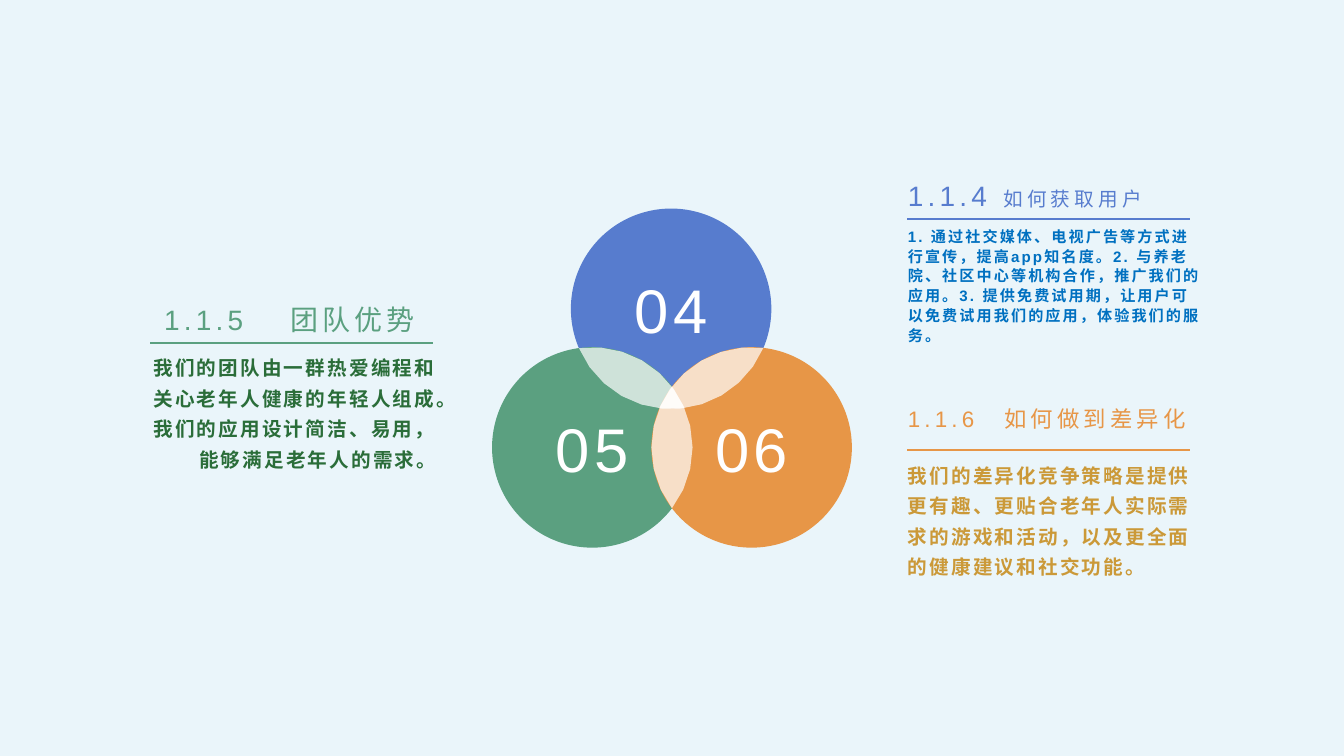
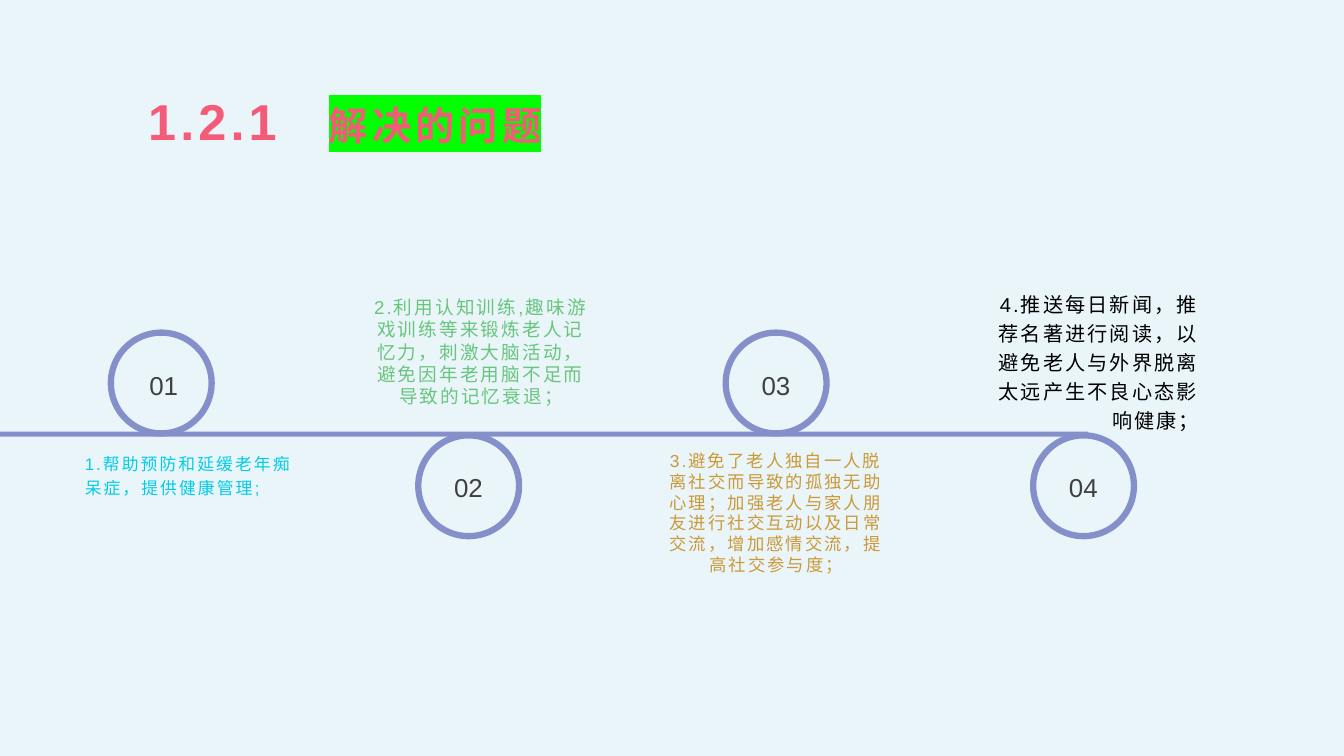
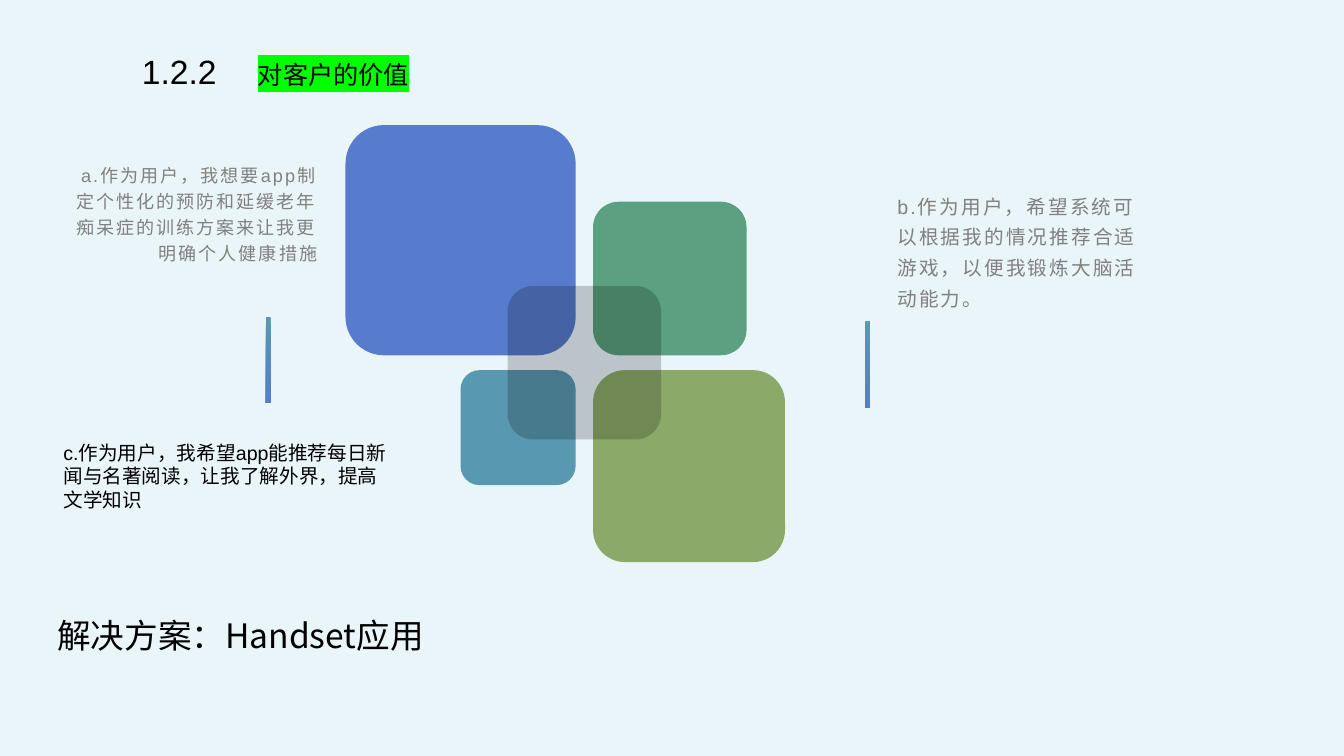
import math
from dataclasses import dataclass
from typing import Optional

from lxml import etree
from pptx import Presentation
from pptx.dml.color import RGBColor
from pptx.enum.shapes import MSO_CONNECTOR, MSO_SHAPE
from pptx.enum.text import MSO_ANCHOR, MSO_AUTO_SIZE, PP_ALIGN
from pptx.oxml.ns import qn
from pptx.util import Pt

OVAL, RECTANGLE, ROUNDED = MSO_SHAPE.OVAL, MSO_SHAPE.RECTANGLE, MSO_SHAPE.ROUNDED_RECTANGLE
LEFT, CENTER, RIGHT = PP_ALIGN.LEFT, PP_ALIGN.CENTER, PP_ALIGN.RIGHT
TOP, MIDDLE = MSO_ANCHOR.TOP, MSO_ANCHOR.MIDDLE
STRAIGHT = MSO_CONNECTOR.STRAIGHT

LATIN, CJK = "Arial", "Noto Sans CJK SC"
TITLE_LAYOUT, BLANK_LAYOUT = 5, 6
COLORS = {
    "background": "EAF5FA", "white": "FFFFFF", "black": "000000",
    "blue": "577CCE", "green": "5BA080", "orange": "E79647",
    "teal": "5999AF", "olive": "8BAA69", "violet": "8590CA",
    "strong blue": "0070C0", "dark green": "2A6D39", "gold": "CB9938",
    "pink": "F35B79", "cyan": "02CCE6", "light green": "69C57E",
    "gray": "808080", "dark gray": "404040", "highlight": "00FF00",
}


@dataclass(frozen=True)
class Piece:
    """A run; unset values come from its paragraph."""
    text: str
    size: Optional[float] = None
    font: Optional[str] = None
    highlight: bool = False


@dataclass(frozen=True)
class Style:
    size: float
    color: str
    font: str = LATIN
    bold: bool = False
    spacing: float = 0
    line_spacing: float = 1.0
    align: PP_ALIGN = LEFT
    anchor: MSO_ANCHOR = TOP
    tab: float = 0


@dataclass(frozen=True)
class Box:
    left: float
    top: float
    width: float
    height: float


@dataclass(frozen=True)
class Caption:
    box: Box
    text: str
    style: Style


@dataclass(frozen=True)
class Circle:
    x: float
    y: float
    color: str
    label: str


@dataclass(frozen=True)
class Panel:
    left: float
    rule_left: float
    rule_top: float
    color: str
    heading: tuple[Piece, ...]
    heading_style: Style
    heading_indent: float
    body: str
    body_style: Style


@dataclass(frozen=True)
class Tile:
    size: float
    column: int
    row: int
    color: str


# Shared helpers
def rgb(name: str) -> RGBColor:
    return RGBColor.from_string(COLORS[name])


def place(box: Box) -> tuple:
    return Pt(box.left), Pt(box.top), Pt(box.width), Pt(box.height)


def set_typeface(font, typeface: str) -> None:
    font.name = typeface
    latin = font._rPr.find(qn("a:latin"))
    east_asian = etree.Element(qn("a:ea"), typeface=CJK)
    latin.addnext(east_asian)


def set_highlight(run) -> None:
    highlight = etree.Element(qn("a:highlight"))
    etree.SubElement(highlight, qn("a:srgbClr"), val=COLORS["highlight"])
    properties = run.font._rPr
    latin = properties.find(qn("a:latin"))
    if latin is None:
        properties.append(highlight)
    else:
        latin.addprevious(highlight)


def write_text(shape, pieces: tuple[Piece, ...], style: Style, inset: bool = True) -> None:
    frame = shape.text_frame
    frame.word_wrap = True
    frame.auto_size = MSO_AUTO_SIZE.NONE
    frame.vertical_anchor = style.anchor
    frame.margin_left = frame.margin_right = Pt(7.2 if inset else 0)
    frame.margin_top = frame.margin_bottom = Pt(3.6 if inset else 0)
    paragraph = frame.paragraphs[0]
    paragraph.alignment = style.align
    paragraph.line_spacing = style.line_spacing
    font = paragraph.font
    font.size, font.bold = Pt(style.size), style.bold
    font.color.rgb = rgb(style.color)
    set_typeface(font, style.font)
    font._rPr.set("spc", str(round(style.spacing * 100)))
    if style.tab:
        tabs = etree.Element(qn("a:tabLst"))
        etree.SubElement(tabs, qn("a:tab"), pos=str(Pt(style.tab)), algn="l")
        font._rPr.addprevious(tabs)
    for piece in pieces:
        run = paragraph.add_run()
        run.text = piece.text
        if piece.size:
            run.font.size = Pt(piece.size)
        if piece.font:
            set_typeface(run.font, piece.font)
        if piece.highlight:
            set_highlight(run)


def add_text(slide, box: Box, pieces: tuple[Piece, ...], style: Style, inset: bool = True) -> None:
    write_text(slide.shapes.add_textbox(*place(box)), pieces, style, inset)


def add_caption(slide, caption: Caption) -> None:
    add_text(slide, caption.box, (Piece(caption.text),), caption.style)


def set_title(slide, box: Box, pieces: tuple[Piece, ...], style: Style) -> None:
    title = slide.shapes.title
    title.left, title.top, title.width, title.height = place(box)
    write_text(title, pieces, style)


def paint(shape, color: str, opacity: int = 100) -> None:
    shape.shadow.inherit = False
    shape.line.fill.background()
    shape.fill.solid()
    shape.fill.fore_color.rgb = rgb(color)
    if opacity < 100:
        color_element = shape._element.spPr.find(qn("a:solidFill"))[0]
        etree.SubElement(color_element, qn("a:alpha"), val=str(opacity * 1000))


def add_filled(slide, kind: MSO_SHAPE, box: Box, color: str, opacity: int = 100) -> None:
    paint(slide.shapes.add_shape(kind, *place(box)), color, opacity)


def add_rule(slide, left: float, top: float, width: float, color: str) -> None:
    rule = slide.shapes.add_connector(STRAIGHT, Pt(left), Pt(top), Pt(left + width), Pt(top))
    rule.line.color.rgb = rgb(color)
    rule.line.width = Pt(1.5)
    etree.SubElement(rule._element.spPr, qn("a:effectLst"))


# Slide 1: three overlapping circles with panels
RADIUS = 71.6
CIRCLES = (
    Circle(479.4, 220.6, "blue", "04"),
    Circle(423.1, 319.6, "green", "05"),
    Circle(536.9, 319.6, "orange", "06"),
)
PANELS = (
    Panel(641.4, 648, 321.6, "orange",
          (Piece("1.1.6\t如何做到差异化"),),
          Style(16, "orange", spacing=3, line_spacing=1.2, tab=69), 0,
          "我们的差异化竞争策略是提供更有趣、更贴合老年人实际需求的游戏和活动，以及更全面的健康建议和社交功能。",
          Style(14, "gold", bold=True, spacing=1.5, line_spacing=1.3)),
    Panel(641.4, 648, 156.3, "blue",
          (Piece("1.1.4 "), Piece("如何获取用户", 14)),
          Style(20, "blue", spacing=3, line_spacing=1.3), 0,
          "1. 通过社交媒体、电视广告等方式进行宣传，提高app知名度。2. 与养老院、社区中心等机构合作，"
          "推广我们的应用。3. 提供免费试用期，让用户可以免费试用我们的应用，体验我们的服务。",
          Style(10.8, "strong blue", bold=True, spacing=1.5, line_spacing=1.1)),
    Panel(94.8, 107.3, 244.8, "green",
          (Piece("1.1.5\t团队优势"),),
          Style(20, "green", spacing=3, line_spacing=1.3, tab=90), 15.4,
          "我们的团队由一群热爱编程和关心老年人健康的年轻人组成。我们的应用设计简洁、易用，能够满足老年人的需求。",
          Style(14, "dark green", CJK, True, 1.5, 1.3, RIGHT)),
)


def arc(circle: Circle, middle: float, half: float, steps: int = 6) -> list[tuple]:
    angles = (middle + half * (2 * step / steps - 1) for step in range(steps))
    return [(Pt(circle.x + RADIUS * math.cos(angle)), Pt(circle.y + RADIUS * math.sin(angle)))
            for angle in angles]


def add_lens(slide, first: Circle, second: Circle) -> None:
    run, rise = second.x - first.x, second.y - first.y
    direction = math.atan2(rise, run)
    half = math.acos(math.hypot(run, rise) / (2 * RADIUS))
    points = arc(first, direction, half) + arc(second, direction + math.pi, half)
    builder = slide.shapes.build_freeform(*points[0])
    builder.add_line_segments(points[1:])
    paint(builder.convert_to_shape(), "white", 70)


def add_panel(slide, panel: Panel) -> None:
    width = 224
    heading = Box(panel.left + panel.heading_indent, panel.rule_top - 39.6,
                  width - panel.heading_indent, 38.2)
    body = Box(panel.left, panel.rule_top + 1, width, 101)
    add_text(slide, body, (Piece(panel.body),), panel.body_style)
    add_text(slide, heading, panel.heading, panel.heading_style)
    add_rule(slide, panel.rule_left, panel.rule_top, 202, panel.color)


def build_circles_slide(presentation) -> None:
    slide = presentation.slides.add_slide(presentation.slide_layouts[BLANK_LAYOUT])
    for circle in CIRCLES:
        box = Box(circle.x - RADIUS, circle.y - RADIUS, 2 * RADIUS, 2 * RADIUS)
        add_filled(slide, OVAL, box, circle.color)
    top, left, right = CIRCLES
    for first, second in ((left, right), (top, right), (top, left)):
        add_lens(slide, first, second)
    number_style = Style(44, "white", spacing=3, align=CENTER, anchor=MIDDLE)
    for circle in CIRCLES:
        box = Box(circle.x - 33.5, circle.y - 26.8, 67, 54)
        add_text(slide, box, (Piece(circle.label),), number_style, inset=False)
    for panel in PANELS:
        add_panel(slide, panel)


# Slide 2: timeline
STEP_WIDTH, STEP_HEIGHT = 172, 101
STEPS = (
    Caption(Box(53.5, 317.9, STEP_WIDTH, STEP_HEIGHT),
            "1.帮助预防和延缓老年痴呆症，提供健康管理;",
            Style(12, "cyan", spacing=1.5, line_spacing=1.2)),
    Caption(Box(257.6, 207.8, STEP_WIDTH, STEP_HEIGHT),
            "2.利用认知训练,趣味游戏训练等来锻炼老人记忆力，刺激大脑活动，避免因年老用脑不足而导致的记忆衰退；",
            Style(13.3, "light green", spacing=1.5, align=CENTER)),
    Caption(Box(468.5, 318, STEP_WIDTH, STEP_HEIGHT),
            "3.避免了老人独自一人脱离社交而导致的孤独无助心理；加强老人与家人朋友进行社交互动以及日常交流，"
            "增加感情交流，提高社交参与度；",
            Style(12.4, "gold", spacing=1.5, align=CENTER)),
    Caption(Box(691.5, 201.6, STEP_WIDTH, STEP_HEIGHT),
            "4.推送每日新闻，推荐名著进行阅读，以避免老人与外界脱离太远产生不良心态影响健康；",
            Style(14.4, "black", spacing=1.5, line_spacing=1.2, align=RIGHT)),
)


def add_ring(slide, index: int) -> None:
    left, top = 79.2 + 219.6 * index, 311 if index % 2 else 237.6
    ring = slide.shapes.add_shape(OVAL, *place(Box(left, top, 72, 72)))
    ring.shadow.inherit = False
    ring.fill.background()
    ring.line.color.rgb = rgb("violet")
    ring.line.width = Pt(4.5)
    label = Box(left + (17.5 if index else 19.4), top + 20.3, 36.7, 31.7)
    style = Style(18.5, "dark gray", line_spacing=1.1, align=CENTER, anchor=MIDDLE)
    add_text(slide, label, (Piece(f"{index + 1:02}"),), style)


def build_timeline_slide(presentation) -> None:
    slide = presentation.slides.add_slide(presentation.slide_layouts[TITLE_LAYOUT])
    set_title(slide, Box(98.6, 44.6, 567, 74.2),
              (Piece("1.2.1\t"), Piece("解决的问题", 28, CJK, True)),
              Style(36, "pink", bold=True, spacing=3, line_spacing=1.2, anchor=MIDDLE, tab=129.2))
    add_filled(slide, RECTANGLE, Box(0, 308.3, 777, 3.6), "violet")
    for index, step in enumerate(STEPS):
        add_ring(slide, index)
        add_caption(slide, step)


# Slide 3: tiles around a cross-shaped gap
GAP_X, GAP_Y, GAP_WIDTH, GAP_HEIGHT = 411.2, 253.8, 12.4, 10.6
TILES = (
    Tile(109.7, 1, 0, "green"),
    Tile(82.2, 0, 1, "teal"),
    Tile(164.4, 0, 0, "blue"),
    Tile(137.1, 1, 1, "olive"),
)
OVERLAY = 109.7
BARS = (Box(190, 226.3, 3.4, 61.5), Box(618, 229.5, 3.4, 61.5))
VALUES = (
    Caption(Box(37.1, 111.2, 196.6, 86.4),
            "a.作为用户，我想要app制定个性化的预防和延缓老年痴呆症的训练方案来让我更明确个人健康措施",
            Style(12.9, "gray", spacing=1.5, line_spacing=1.2, align=RIGHT)),
    Caption(Box(633.9, 130.6, 196.6, 115.2),
            "b.作为用户，希望系统可以根据我的情况推荐合适游戏，以便我锻炼大脑活动能力。",
            Style(14, "gray", spacing=1.5, line_spacing=1.3)),
    Caption(Box(38.2, 311.4, 252.7, 105.8),
            "c.作为用户，我希望app能推荐每日新闻与名著阅读，让我了解外界，提高文学知识",
            Style(14, "black")),
    Caption(Box(33.8, 436, 284.4, 71.3), "解决方案：Handset应用", Style(24, "black", CJK)),
)


def add_gradient_bar(slide, box: Box) -> None:
    bar = slide.shapes.add_shape(RECTANGLE, *place(box))
    bar.shadow.inherit = False
    bar.line.fill.background()
    bar.fill.gradient()
    bar.fill.gradient_angle = 315
    for stop, color in zip(bar.fill.gradient_stops, ("teal", "blue")):
        stop.color.rgb = rgb(color)


def build_value_slide(presentation) -> None:
    slide = presentation.slides.add_slide(presentation.slide_layouts[TITLE_LAYOUT])
    set_title(slide, Box(94.2, 32.5, 347, 62.4),
              (Piece("1.2.2\t"), Piece("对客户的价值", 18, highlight=True)),
              Style(24, "black", tab=82.8))
    for tile in TILES:
        left = GAP_X + GAP_WIDTH if tile.column else GAP_X - tile.size
        top = GAP_Y + GAP_HEIGHT if tile.row else GAP_Y - tile.size
        add_filled(slide, ROUNDED, Box(left, top, tile.size, tile.size), tile.color)
    overlay = Box(GAP_X + (GAP_WIDTH - OVERLAY) / 2, GAP_Y + (GAP_HEIGHT - OVERLAY) / 2,
                  OVERLAY, OVERLAY)
    add_filled(slide, ROUNDED, overlay, "black", 20)
    for bar in BARS:
        add_gradient_bar(slide, bar)
    for value in VALUES:
        add_caption(slide, value)


def main() -> None:
    presentation = Presentation()
    presentation.slide_width, presentation.slide_height = Pt(960), Pt(540)
    background = presentation.slide_master.background.fill
    background.solid()
    background.fore_color.rgb = rgb("background")
    build_circles_slide(presentation)
    build_timeline_slide(presentation)
    build_value_slide(presentation)
    presentation.save("out.pptx")


if __name__ == "__main__":
    main()
